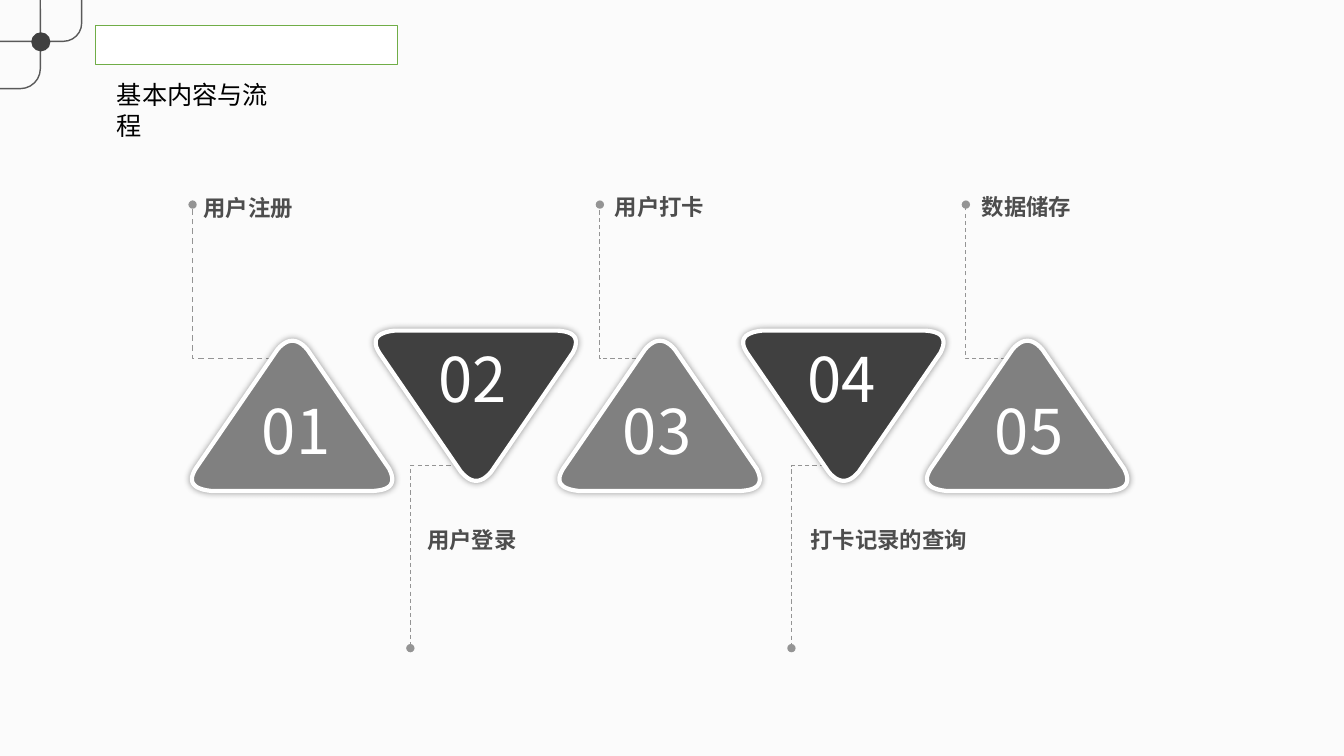
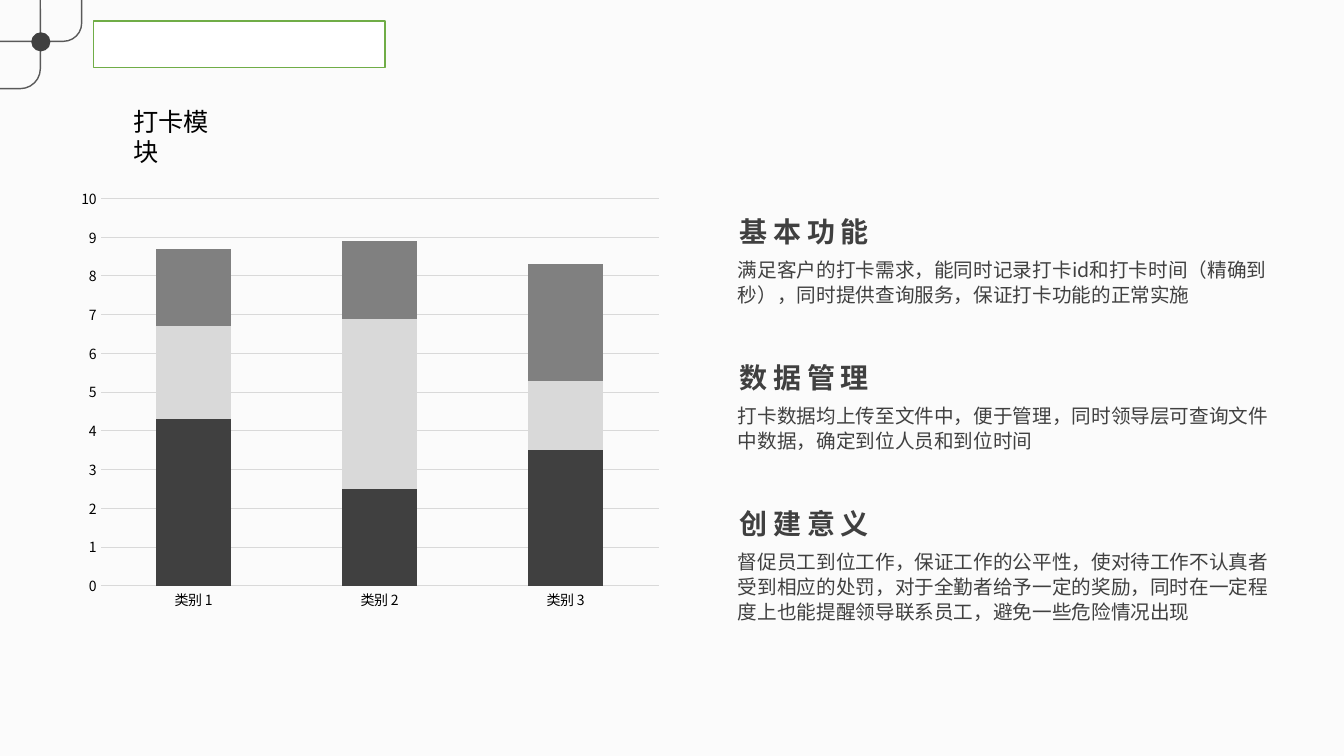
from lxml.etree import SubElement
from pptx import Presentation
from pptx.chart.data import CategoryChartData
from pptx.dml.color import RGBColor
from pptx.enum.chart import XL_CHART_TYPE, XL_TICK_MARK
from pptx.enum.dml import MSO_LINE
from pptx.enum.shapes import MSO_SHAPE
from pptx.enum.text import MSO_ANCHOR, MSO_AUTO_SIZE, PP_ALIGN
from pptx.oxml import parse_xml
from pptx.oxml.ns import nsdecls, qn
from pptx.util import Inches, Pt

FONT = "Noto Sans CJK SC"
BACKGROUND = "FBFBFB"
DARK, MIDDLE, LIGHT = "404040", "808080", "D9D9D9"
LABEL, LEADER, OUTLINE = "4D4D4D", "949494", "595959"
WHITE, BLACK, GREEN = "FFFFFF", "000000", "70AD47"
UNITS = 1000
TRIANGLE_HEIGHT = 1.52
TRIANGLE_SIDES = [
    [(1.19, 0.12), (2.0, 1.3)],
    [(2.0, 1.3), (2.07, 1.44), (2.02, 1.51), (1.85, 1.52)],
    [(1.85, 1.52), (0.23, 1.52)],
    [(0.23, 1.52), (0.05, 1.5), (0, 1.43), (0.08, 1.3)],
    [(0.08, 1.3), (0.89, 0.12)],
    [(0.89, 0.12), (0.99, 0), (1.09, 0), (1.19, 0.12)],
]


def color(value):
    return RGBColor.from_string(value)


def set_font(font, size, fill, bold=False):
    font.name = FONT
    font.size = Pt(size)
    font.bold = bold
    font.color.rgb = color(fill)
    properties = font.fill._xPr
    latin = properties.find(qn("a:latin"))
    latin.addnext(parse_xml(f'<a:ea {nsdecls("a")} typeface="{FONT}"/>'))


def write_text(shape, text, size=14, fill=DARK, bold=False, wrap=False,
               line_spacing=None, spacing=None):
    frame = shape.text_frame
    frame.word_wrap = wrap
    frame.auto_size = MSO_AUTO_SIZE.SHAPE_TO_FIT_TEXT
    frame.vertical_anchor = MSO_ANCHOR.TOP
    paragraph = frame.paragraphs[0]
    paragraph.alignment = PP_ALIGN.LEFT
    if line_spacing:
        paragraph.line_spacing = Pt(line_spacing)
    run = paragraph.add_run()
    run.text = text
    set_font(run.font, size, fill, bold)
    if spacing:
        run.font._element.set("spc", str(spacing * 100))


def add_text(slide, box, text, **style):
    write_text(slide.shapes.add_textbox(*map(Inches, box)), text, **style)


def style_shape(shape, fill=None, line=None, width=1):
    shape.shadow.inherit = False
    if fill:
        shape.fill.solid()
        shape.fill.fore_color.rgb = color(fill)
    else:
        shape.fill.background()
    if line:
        shape.line.color.rgb = color(line)
        shape.line.width = Pt(width)
    else:
        shape.line.fill.background()


def add_shape(slide, kind, box, corner=None, **style):
    shape = slide.shapes.add_shape(kind, *map(Inches, box))
    if corner:
        shape.adjustments[0] = corner
    style_shape(shape, **style)


def add_outline(slide, points, close):
    scaled = [(round(x * UNITS), round(y * UNITS)) for x, y in points]
    builder = slide.shapes.build_freeform(*scaled[0], scale=Inches(1) / UNITS)
    builder.add_line_segments(scaled[1:], close=close)
    return builder.convert_to_shape()


def add_leader(slide, start_x, start_y, end_x, end_y, width=0.75):
    points = [(start_x, start_y), (end_x, start_y), (end_x, end_y)]
    shape = add_outline(slide, points, False)
    style_shape(shape, line=LEADER, width=width)
    shape.line.dash_style = MSO_LINE.DASH
    line = shape._element.spPr.find(qn("a:ln"))
    for end in ("a:headEnd", "a:tailEnd"):
        SubElement(line, qn(end), type="oval")


def curve_points(controls, steps=12):
    if len(controls) == 2:
        return controls
    points = []
    for step in range(steps + 1):
        t = step / steps
        weights = ((1 - t) ** 3, 3 * t * (1 - t) ** 2, 3 * t * t * (1 - t), t ** 3)
        points.append(tuple(sum(weight * point[axis] for weight, point in zip(weights, controls))
                            for axis in (0, 1)))
    return points


def add_soft_shadow(shape):
    effects = shape._element.spPr.find(qn("a:effectLst"))
    effects.append(parse_xml(
        f'<a:outerShdw {nsdecls("a")} blurRad="{Pt(5)}" dist="0" dir="0" algn="ctr" rotWithShape="0">'
        f'<a:srgbClr val="{BLACK}"><a:alpha val="40000"/></a:srgbClr></a:outerShdw>'))


def add_triangle(slide, left, top, points_down):
    points = []
    for side in TRIANGLE_SIDES:
        for x, y in curve_points(side)[:-1]:
            points.append((left + x, top + (TRIANGLE_HEIGHT - y if points_down else y)))
    shape = add_outline(slide, points, True)
    style_shape(shape, DARK if points_down else MIDDLE, WHITE, 3)
    add_soft_shadow(shape)


def add_base_slide(presentation, title, title_box, header_box):
    slide = presentation.slides.add_slide(presentation.slide_layouts[5])
    slide.background.fill.solid()
    slide.background.fill.fore_color.rgb = color(BACKGROUND)
    rounded = MSO_SHAPE.ROUNDED_RECTANGLE
    add_shape(slide, rounded, (-1.37, -0.45, 1.77, 1.33), 0.149, line=OUTLINE)
    add_shape(slide, rounded, (-0.64, -0.37, 1.45, 0.78), 0.231, line=OUTLINE)
    add_shape(slide, MSO_SHAPE.OVAL, (0.31, 0.32, 0.19, 0.19), fill=DARK)
    add_shape(slide, MSO_SHAPE.RECTANGLE, header_box, fill=WHITE, line=GREEN)
    placeholder = slide.shapes.title
    placeholder.left, placeholder.top, placeholder.width, placeholder.height = map(Inches, title_box)
    write_text(placeholder, title, size=18, fill=BLACK)
    return slide


def add_stacked_chart(slide, box, categories, series):
    data = CategoryChartData()
    data.categories = categories
    for name, values, _ in series:
        data.add_series(name, values)
    chart = slide.shapes.add_chart(XL_CHART_TYPE.COLUMN_STACKED, *map(Inches, box), data).chart
    chart.has_legend = False
    chart.has_title = False
    set_font(chart.font, 10, BLACK)
    plot = chart.plots[0]
    plot.gap_width, plot.overlap = 150, 100
    plot.vary_by_categories = False
    for column, (_, _, fill) in zip(plot.series, series):
        column.format.fill.solid()
        column.format.fill.fore_color.rgb = color(fill)
    for axis in (chart.category_axis, chart.value_axis):
        axis.major_tick_mark = axis.minor_tick_mark = XL_TICK_MARK.NONE
        axis.format.line.fill.background()
        set_font(axis.tick_labels.font, 10, BLACK)
    value_axis = chart.value_axis
    value_axis.minimum_scale, value_axis.maximum_scale, value_axis.major_unit = 0, 10, 1
    value_axis.major_gridlines.format.line.color.rgb = color(LIGHT)
    value_axis.major_gridlines.format.line.width = Pt(0.75)
    set_plot_area(chart, x=0.046, y=0.028, w=0.918, h=0.83)


def set_plot_area(chart, **fractions):
    area = chart._chartSpace.chart.plotArea
    for layout in area.findall(qn("c:layout")):
        area.remove(layout)
    modes = '<c:layoutTarget val="inner"/><c:xMode val="edge"/><c:yMode val="edge"/>'
    sizes = "".join(f'<c:{name} val="{value}"/>' for name, value in fractions.items())
    area.insert(0, parse_xml(
        f'<c:layout {nsdecls("c")}><c:manualLayout>{modes}{sizes}</c:manualLayout></c:layout>'))


def build_process_slide(presentation):
    slide = add_base_slide(presentation, "基本内容与流程", (1.06, 0.74, 1.95, 0.4),
                           (0.95, 0.25, 2.99, 0.39))
    steps = [
        ("用户注册", 1.92, 1.88, 1.09, 2.83, 1.91, 2.5),
        ("用户登录", 4.14, 5.17, 1.09, 4.72, 4.07, 4.25),
        ("用户打卡", 6, 1.87, 1.09, 6.49, 5.95, 6.08),
        ("打卡记录的查询", 7.94, 5.17, 1.77, 8.35, 7.85, 7.91),
        ("数据储存", 9.64, 1.87, 1.09, 10.15, 9.58, 9.77),
    ]
    for index, (label, left, top, width, start_x, end_x, number_left) in enumerate(steps):
        points_down = index % 2 == 1
        start_y, end_y = (4.62, 6.43) if points_down else (3.56, 2.03)
        add_leader(slide, start_x, start_y, end_x, end_y, 0.75 if index else 1)
        add_triangle(slide, 1.86 + index * 1.8225, 3.28 if points_down else 3.35, points_down)
        add_text(slide, (number_left, 3.33 if points_down else 3.85, 0.88, 0.84),
                 f"{index + 1:02}", size=44, fill=WHITE)
        add_text(slide, (left, top, width, 0.37), label, size=16, fill=LABEL, bold=True)


def build_module_slide(presentation):
    slide = add_base_slide(presentation, "打卡模块", (1.22, 1, 1.2, 0.4),
                           (0.93, 0.21, 2.89, 0.46))
    add_stacked_chart(slide, (0.72, 1.84, 6.03, 4.63), ["类别 1", "类别 2", "类别 3"], [
        ("Series 1", (4.3, 2.5, 3.5), DARK),
        ("Series 2", (2.4, 4.4, 1.8), LIGHT),
        ("Series 3", (2, 2, 3), MIDDLE),
    ])
    sections = [
        ("基本功能", 0.6, "满足客户的打卡需求，能同时记录打卡id和打卡时间（精确到秒），"
                      "同时提供查询服务，保证打卡功能的正常实施"),
        ("数据管理", 0.6, "打卡数据均上传至文件中，便于管理，同时领导层可查询文件中数据，"
                      "确定到位人员和到位时间"),
        ("创建意义", 0.86, "督促员工到位工作，保证工作的公平性，使对待工作不认真者受到相应的处罚，"
                       "对于全勤者给予一定的奖励，同时在一定程度上也能提醒领导联系员工，"
                       "避免一些危险情况出现"),
    ]
    for index, (heading, height, body) in enumerate(sections):
        top = 2.08 + index * 1.45
        add_text(slide, (7.24, top, 2, 0.44), heading, size=20, bold=True, wrap=True, spacing=4)
        add_text(slide, (7.22, top + 0.41, 5.52, height), body, wrap=True, line_spacing=18)


def main():
    presentation = Presentation()
    presentation.slide_width, presentation.slide_height = Inches(13.33), Inches(7.5)
    build_process_slide(presentation)
    build_module_slide(presentation)
    presentation.save("out.pptx")


if __name__ == "__main__":
    main()
